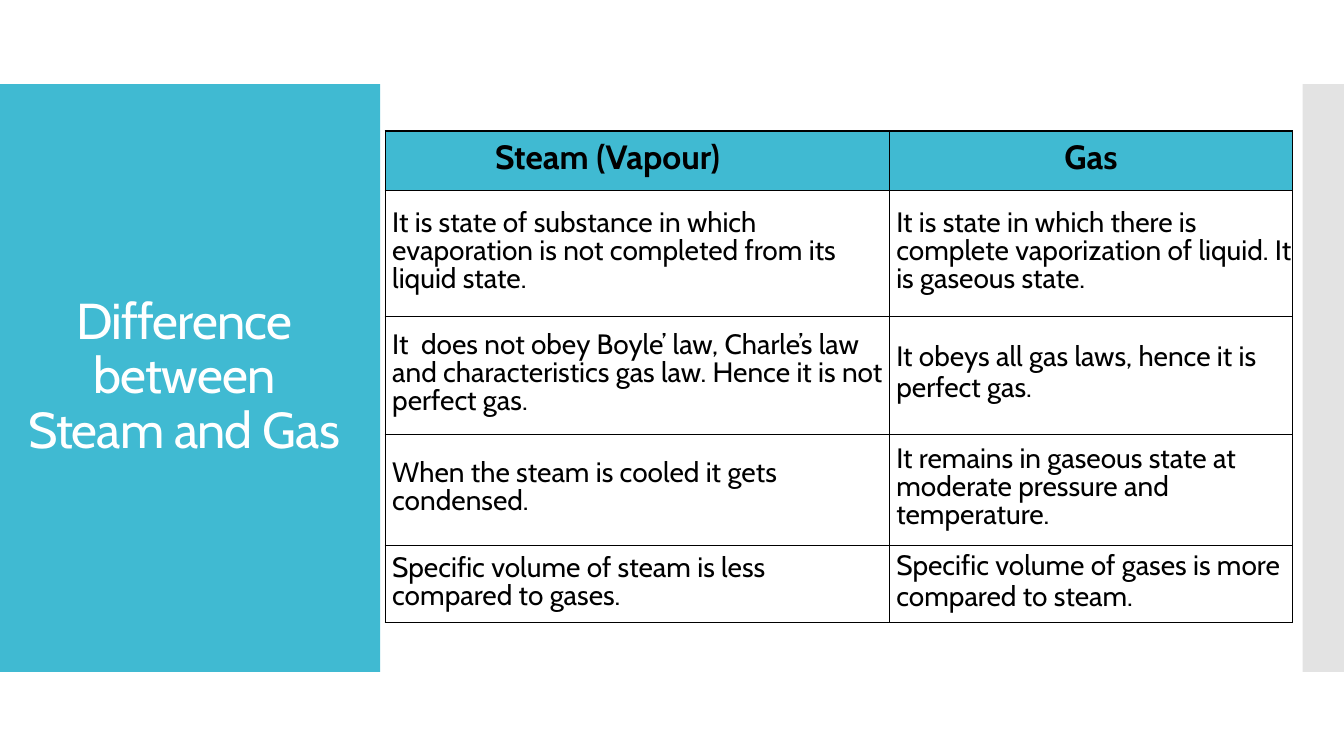
"""Builds a slide that compares steam and gas in a two-column table."""
import pptx
import pptx.dml.color
import pptx.enum.shapes
import pptx.enum.text
import pptx.oxml
import pptx.oxml.ns
import pptx.util

Inches, Pt = pptx.util.Inches, pptx.util.Pt
RGBColor = pptx.dml.color.RGBColor
ALIGN, ANCHOR = pptx.enum.text.PP_ALIGN, pptx.enum.text.MSO_ANCHOR

TEAL = RGBColor(0x40, 0xBA, 0xD2)
GREY = RGBColor(0xC8, 0xC8, 0xC8)
WHITE = RGBColor(0xFF, 0xFF, 0xFF)
BLACK = RGBColor(0, 0, 0)
NAMESPACE = pptx.oxml.ns.nsdecls("a")


def write(text, frame, size=20, color=BLACK, bold=False, align=ALIGN.LEFT,
          line=Pt(20), before=0, between=2):
    """Fill a text frame with one paragraph for each line of text."""
    for number, words in enumerate(text.split("\n")):
        paragraph = frame.add_paragraph() if number else frame.paragraphs[0]
        paragraph.alignment = align
        paragraph.line_spacing = line
        paragraph.space_before = Pt(between if number else before)
        run = paragraph.add_run()
        run.text = words
        run.font.name = "Cabin"
        run.font.size = Pt(size)
        run.font.bold = bold
        run.font.color.rgb = color


deck = pptx.Presentation()
deck.slide_width, deck.slide_height = Inches(13.33), Inches(7.5)
slide = deck.slides.add_slide(deck.slide_layouts[6])
ninth = deck.slide_height // 9

for left, width, color, opacity in [(0, 3.77, TEAL, 100), (12.92, 0.41, GREY, 50)]:
    panel = slide.shapes.add_shape(
        pptx.enum.shapes.MSO_SHAPE.RECTANGLE,
        Inches(left), ninth, Inches(width), 7 * ninth)
    panel.shadow.inherit = False
    panel.line.fill.background()
    panel.fill.solid()
    panel.fill.fore_color.rgb = color
    if opacity < 100:
        tint = panel.fill._xPr.find(".//" + pptx.oxml.ns.qn("a:srgbClr"))
        tint.append(pptx.oxml.parse_xml(
            f'<a:alpha {NAMESPACE} val="{opacity * 1000}"/>'))

heading = slide.shapes.add_textbox(
    Inches(0.17), Inches(1.23), Inches(3.31), Inches(5.03)).text_frame
heading.word_wrap = True
heading.vertical_anchor = ANCHOR.MIDDLE
write("Difference between Steam and Gas", heading, size=36, color=WHITE,
      align=ALIGN.CENTER, line=0.9)
heading.paragraphs[0].runs[0].font._element.set("spc", "-60")

comparison = [
    ("Steam (Vapour)", "Gas"),
    ("It is state of substance in which evaporation is not completed from its liquid state.",
     "It is state in which there is complete vaporization of liquid. It is gaseous state."),
    ("It  does not obey Boyle’ law, Charle’s law and characteristics gas law. "
     "Hence it is not perfect gas.",
     "It obeys all gas laws, hence it is\nperfect gas."),
    ("When the steam is cooled it gets condensed.",
     "It remains in gaseous state at moderate pressure and temperature."),
    ("Specific volume of steam is less compared to gases.",
     "Specific volume of gases is more\ncompared to steam."),
]
column_widths = [5, 4]
row_heights = [0.59, 1.25, 1.17, 1.1, 0.77]
heading_styles = [(1.09, ALIGN.LEFT), (0, ALIGN.CENTER)]

table = slide.shapes.add_table(
    len(row_heights), len(column_widths), Inches(3.82), Inches(1.3),
    Inches(sum(column_widths)), Inches(sum(row_heights))).table
table.horz_banding = False
for column, width in zip(table.columns, column_widths):
    column.width = Inches(width)

for row, height, statements in zip(table.rows, row_heights, comparison):
    row.height = Inches(height)
    is_header = statements is comparison[0]
    for cell, statement, (indent, align) in zip(row.cells, statements, heading_styles):
        cell.margin_top = cell.margin_right = cell.margin_bottom = 0
        cell.margin_left = Inches(indent if is_header else 0.07)
        properties = cell._tc.get_or_add_tcPr()
        for side in "LRTB":
            properties.append(pptx.oxml.parse_xml(
                f'<a:ln{side} {NAMESPACE} w="{Pt(1)}"><a:solidFill>'
                f'<a:srgbClr val="{BLACK}"/></a:solidFill></a:ln{side}>'))
        if is_header:
            cell.fill.solid()
            cell.fill.fore_color.rgb = TEAL
            cell.vertical_anchor = ANCHOR.TOP
            write(statement, cell.text_frame, size=24, bold=True, align=align, line=1.15)
        else:
            cell.fill.background()
            cell.vertical_anchor = ANCHOR.MIDDLE
            write(statement, cell.text_frame)

deck.save("out.pptx")
